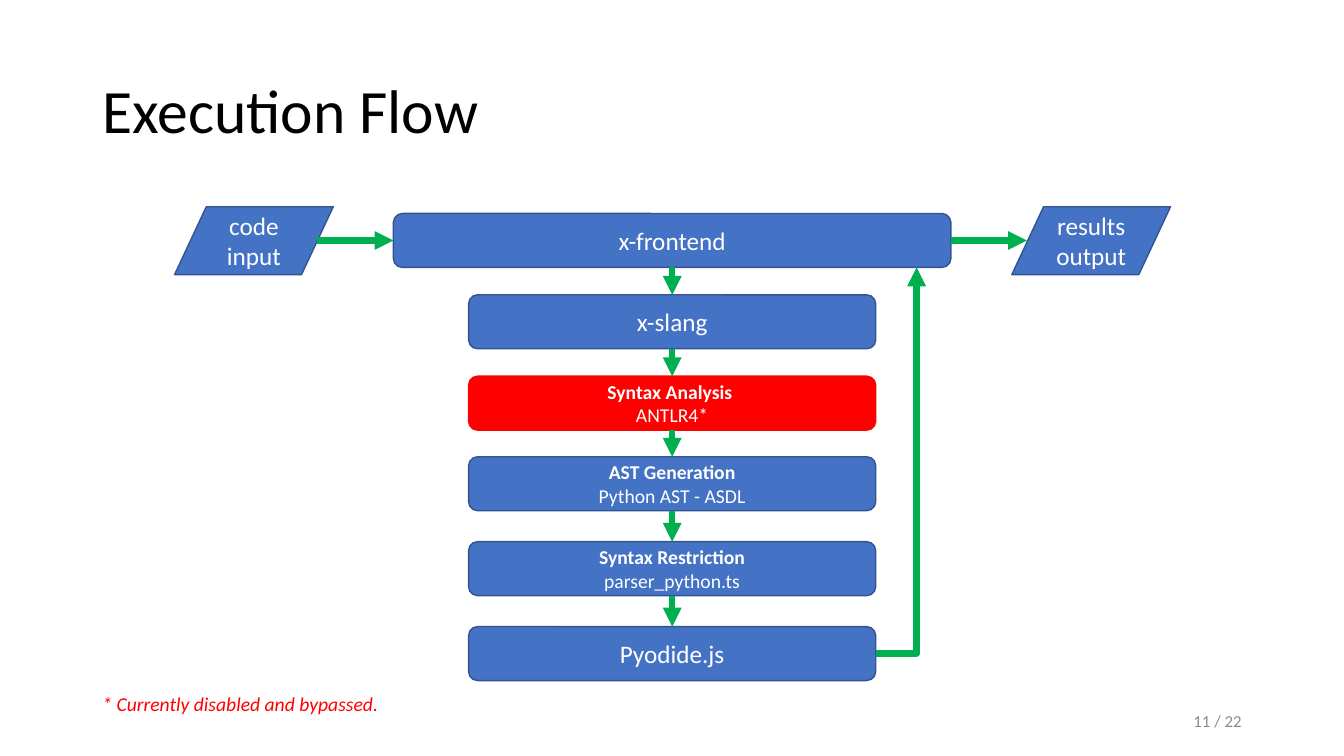
"""Build the Execution Flow slide."""
import pptx
import pptx.util
import pptx.dml.color
import pptx.enum.shapes
import pptx.enum.text
import lxml.etree

Cm = pptx.util.Cm
Kind = pptx.enum.shapes.MSO_SHAPE
Wire = pptx.enum.shapes.MSO_CONNECTOR
Align = pptx.enum.text.PP_ALIGN
Anchor = pptx.enum.text.MSO_ANCHOR
BLUE, EDGE, RED, GREEN = "4472C4", "325491", "FF0000", "00B050"
WHITE, BLACK, GRAY = "FFFFFF", "000000", "8C8C8C"


def write(shape, text, size, color, align, anchor=Anchor.MIDDLE):
    frame = shape.text_frame
    frame.text = text
    frame.word_wrap = True
    frame.vertical_anchor = anchor
    for para in frame.paragraphs:
        para.alignment = align
        for run in para.runs:
            run.font.name = "Calibri"
            run.font.size = pptx.util.Pt(size)
            run.font.color.rgb = pptx.dml.color.RGBColor.from_string(color)
    return frame


def arrow(x1, y1, x2, y2, kind=Wire.STRAIGHT):
    link = slide.shapes.add_connector(kind, Cm(x1), Cm(y1), Cm(x2), Cm(y2))
    link.line.width = pptx.util.Pt(4.5)
    link.line.color.rgb = pptx.dml.color.RGBColor.from_string(GREEN)
    props = link._element.spPr
    space = "{" + props.nsmap["a"] + "}"
    lxml.etree.SubElement(link.line._get_or_add_ln(), space + "tailEnd", type="triangle")
    lxml.etree.SubElement(props, space + "effectLst")
    return link


deck = pptx.Presentation()
deck.slide_width, deck.slide_height = Cm(33.87), Cm(19.05)
slide = deck.slides.add_slide(deck.slide_layouts[5])

title = slide.shapes.title
title.left, title.top, title.width, title.height = Cm(2.33), Cm(1.01), Cm(29.21), Cm(3.68)
write(title, "Execution Flow", 44, BLACK, Align.LEFT).paragraphs[0].line_spacing = 0.9

mid, tall, wide, front = 16.94, 1.36, 10.26, 14.05
row = 5.38 + tall / 2
steps = [
    ("x-frontend", 5.38, front, BLUE, EDGE),
    ("x-slang", 7.43, wide, BLUE, EDGE),
    ("Syntax Analysis \nANTLR4*", 9.48, wide, RED, RED),
    ("AST Generation\nPython AST - ASDL", 11.51, wide, BLUE, EDGE),
    ("Syntax Restriction\nparser_python.ts", 13.65, wide, BLUE, EDGE),
    ("Pyodide.js", 15.79, wide, BLUE, EDGE),
]
boxes = [(Kind.ROUNDED_RECTANGLE, text, mid - width / 2, top, width, tall, fill, edge)
         for text, top, width, fill, edge in steps]
for text, left in (("code input", 4.4), ("results\noutput", 25.5)):
    boxes.append((Kind.FLOWCHART_DATA, text, left, 5.21, 4, 1.71, BLUE, EDGE))

for kind, text, left, top, width, height, fill, edge in boxes:
    box = slide.shapes.add_shape(kind, Cm(left), Cm(top), Cm(width), Cm(height))
    box.shadow.inherit = False
    box.fill.solid()
    box.fill.fore_color.rgb = pptx.dml.color.RGBColor.from_string(fill)
    box.line.color.rgb = pptx.dml.color.RGBColor.from_string(edge)
    box.line.width = pptx.util.Pt(1)
    pair = kind == Kind.ROUNDED_RECTANGLE and "\n" in text
    frame = write(box, text, 14 if pair else 18, WHITE, Align.CENTER)
    if pair:
        frame.paragraphs[0].runs[0].font.bold = True

tops = [step[1] for step in steps]
for top, below in zip(tops, tops[1:]):
    arrow(mid, top + tall, mid, below)
arrow(7.98, row, mid - front / 2, row)
arrow(mid + front / 2, row, 25.88, row)
back = arrow(mid + wide / 2, tops[-1] + tall / 2, 23.1, tops[0] + tall, Wire.ELBOW)
back._element.spPr.prstGeom.set("prst", "bentConnector2")

note = slide.shapes.add_textbox(Cm(2.33), Cm(17.3), Cm(29.21), Cm(0.86))
frame = write(note, "* Currently disabled and bypassed.", 14, RED, Align.LEFT, Anchor.TOP)
frame.paragraphs[0].runs[0].font.italic = True
page = slide.shapes.add_textbox(Cm(23.92), Cm(17.66), Cm(7.62), Cm(1.01))
write(page, "11 / 22", 12, GRAY, Align.RIGHT)

deck.save("out.pptx")
